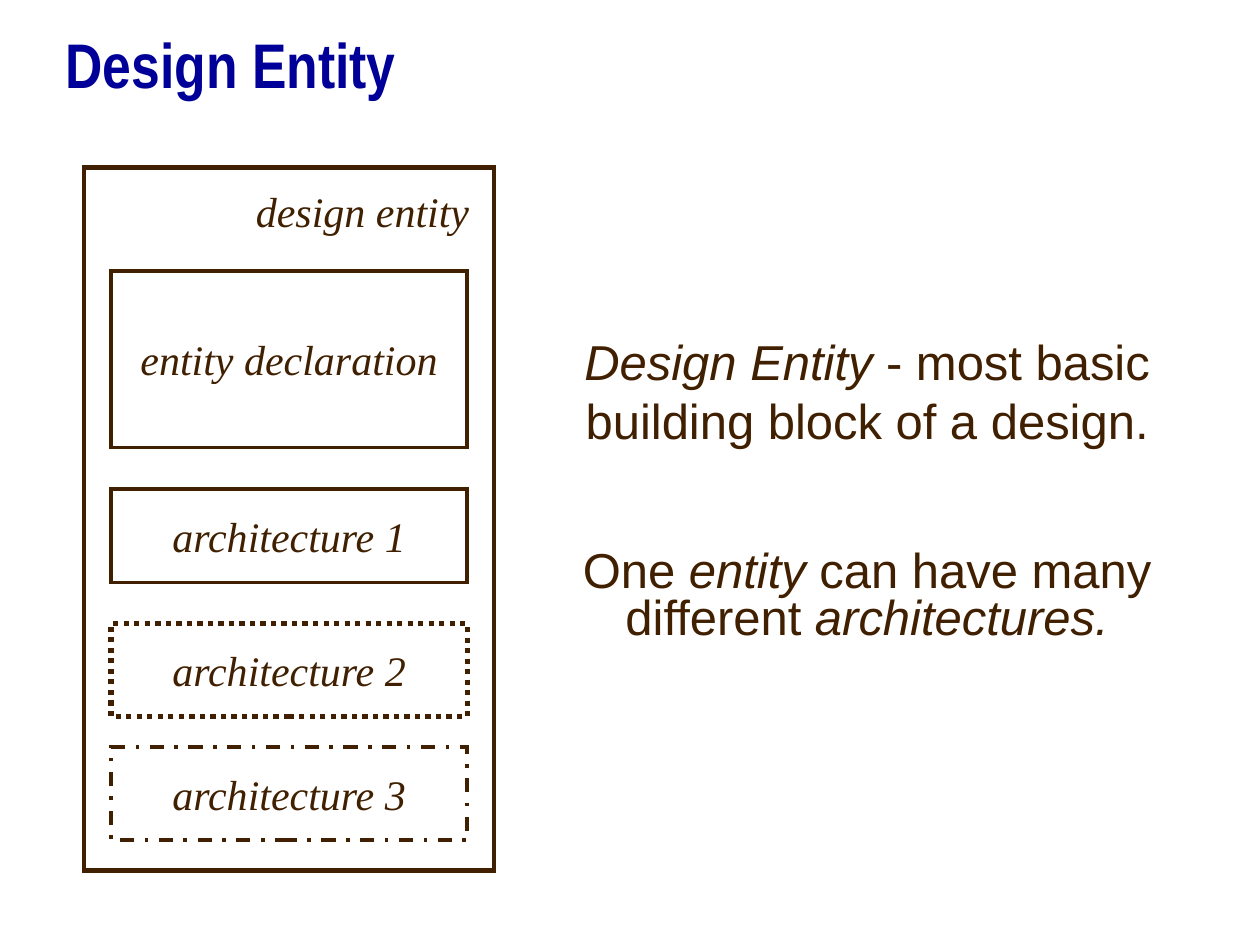
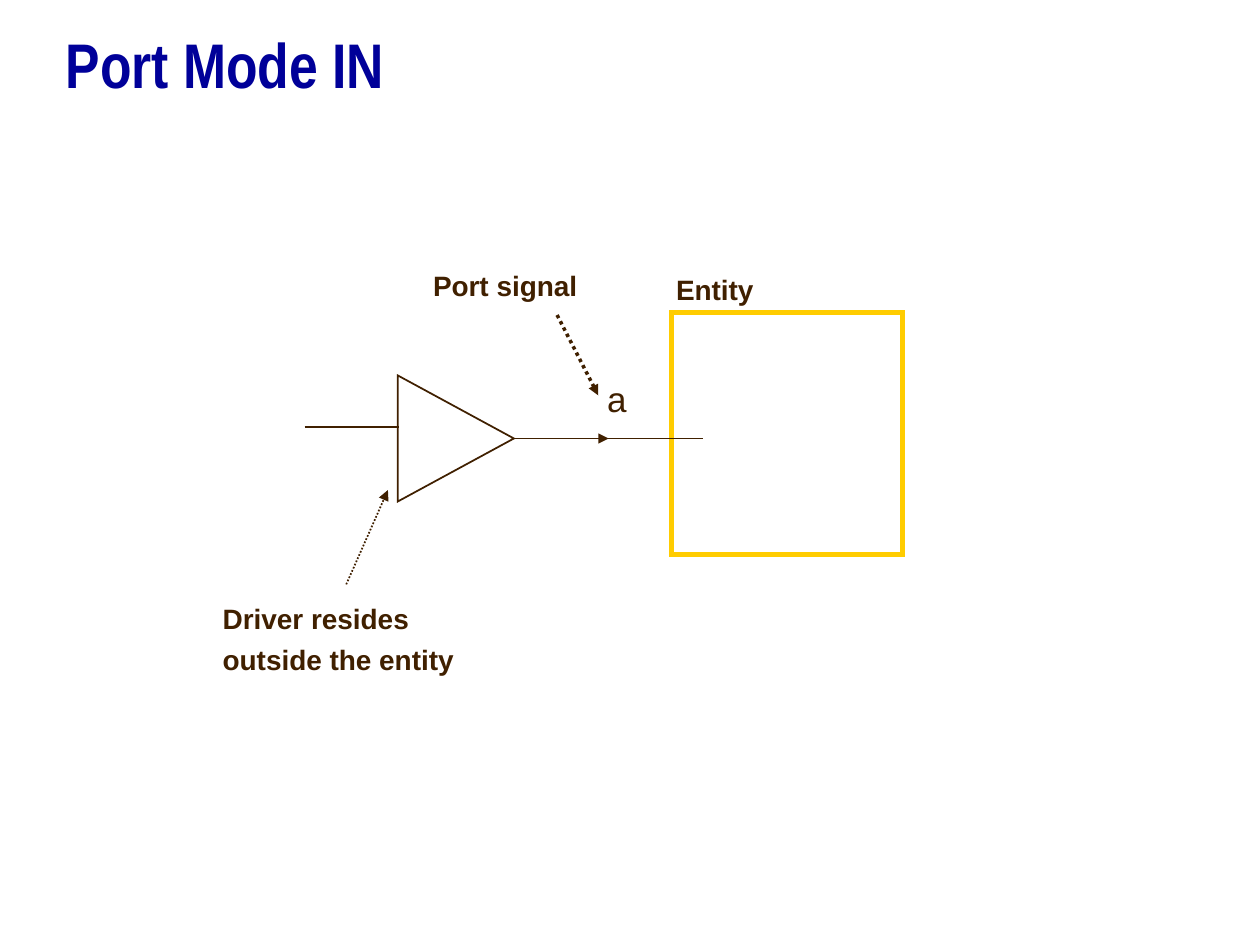
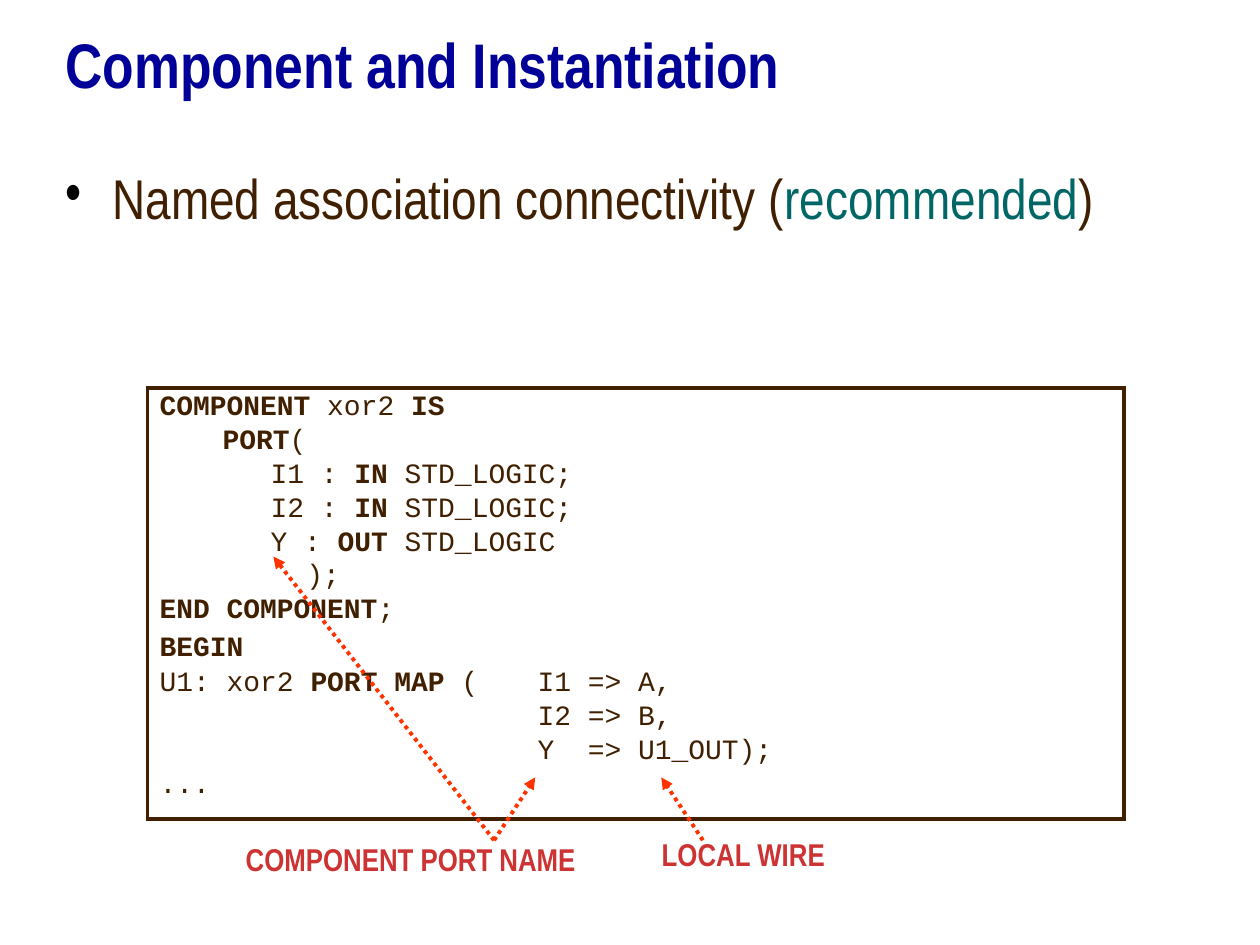
from lxml import etree
from pptx import Presentation
from pptx import util as u
from pptx.dml.color import RGBColor
from pptx.enum import dml, shapes, text
from pptx.oxml.ns import qn

BROWN, NAVY, TEAL, GOLD = "402000", "000099", "006666", "FFCC00"
ORANGE, RED, BLACK = "FF3300", "CD3333", "000000"
DOT, DASH_DOT = dml.MSO_LINE.ROUND_DOT, dml.MSO_LINE.DASH_DOT
LEFT, CENTER, RIGHT = text.PP_ALIGN.LEFT, text.PP_ALIGN.CENTER, text.PP_ALIGN.RIGHT
TOP, MIDDLE = text.MSO_ANCHOR.TOP, text.MSO_ANCHOR.MIDDLE
RECT = shapes.MSO_SHAPE.RECTANGLE

TITLE = dict(name="Arial Narrow", size=36, bold=True, color=NAVY)
BULLET = dict(name="Arial Narrow", size=32, bold=False, color=BROWN)
PROSE = dict(name="Arial", size=28, italic=False, color=BROWN)
PART = dict(name="Times New Roman", size=24, italic=True, color=BROWN)
SIGNAL = dict(name="Arial", size=20, color=BROWN)
CAPTION = dict(name="Arial", size=16, bold=True, color=BROWN)
CODE = dict(name="Courier New", size=16, bold=False, color=BROWN)
CALLOUT = dict(name="Arial Narrow", size=18, bold=True, color=RED)

CODE_LINES = [
    "|COMPONENT| xor2 |IS|",
    "\t|PORT|(",
    "\t\t I1 : |IN| STD_LOGIC;",
    "\t\t I2 : |IN| STD_LOGIC;",
    "\t\t Y : |OUT| STD_LOGIC",
    "\t     );",
    "|END COMPONENT|;",
    "|BEGIN|",
    "U1: xor2 |PORT MAP| (\tI1 => A,",
    "\t\t\tI2 => B,",
    "\t\t\tY  => U1_OUT);",
    "...",
]


def rgb(value):
    return RGBColor.from_string(value)


def set_font(font, fmt):
    for key, value in fmt.items():
        if key == "color":
            font.color.rgb = rgb(value)
        else:
            setattr(font, key, u.Pt(value) if key == "size" else value)


def write(tf, lines, fmt, emph=None, align=LEFT, before=0, spacing=None, anchor=TOP):
    tf.word_wrap, tf.vertical_anchor = True, anchor
    for i, line in enumerate(lines):
        p = tf.paragraphs[0] if i == 0 else tf.add_paragraph()
        p.alignment = align
        p.space_before = u.Pt(before if i else 0)
        if spacing:
            p.line_spacing = spacing
        for j, part in enumerate(line.split("|")):
            if part:
                r = p.add_run()
                r.text = part
                set_font(r.font, {**fmt, **(emph or {})} if j % 2 else fmt)


def place(box, x, y, w, h):
    return [u.Cm(v) for v in (box[0] + x, box[1] + y, w, h)]


def add_text(s, box, at, lines, fmt, **kw):
    sp = s.shapes.add_textbox(*place(box, *at))
    write(sp.text_frame, lines, fmt, **kw)
    return sp.text_frame


def add_outline(s, box, at, width, color=BROWN, dash=None, kind=RECT):
    sp = s.shapes.add_shape(kind, *place(box, *at))
    sp.shadow.inherit = False
    sp.fill.background()
    sp.line.color.rgb = rgb(color)
    sp.line.width = u.Pt(width)
    sp.line.dash_style = dash
    etree.SubElement(sp._element.spPr.find(qn("a:ln")), qn("a:miter"), lim="800000")
    return sp


def add_line(s, box, start, end, width=1, color=BROWN, dash=None, arrow=True):
    ends = [u.Cm(box[i] + pt[i]) for pt in (start, end) for i in (0, 1)]
    c = s.shapes.add_connector(shapes.MSO_CONNECTOR.STRAIGHT, *ends)
    c.line.color.rgb = rgb(color)
    c.line.width = u.Pt(width)
    c.line.dash_style = dash
    sp_pr = c._element.spPr
    if arrow:
        etree.SubElement(sp_pr.find(qn("a:ln")), qn("a:tailEnd"), type="triangle")
    etree.SubElement(sp_pr, qn("a:effectLst"))


def add_slide(prs, title):
    s = prs.slides.add_slide(prs.slide_layouts[5])
    sp = s.shapes.title
    sp.left, sp.top, sp.width, sp.height = place((0, 0), 1.07, 0.22, 23.29, 2.11)
    write(sp.text_frame, [title], TITLE, anchor=MIDDLE)
    return s


def add_bullet(p, indent):
    p_pr = p._p.get_or_add_pPr()
    p_pr.set("marL", str(u.Cm(indent)))
    p_pr.set("indent", str(-u.Cm(indent)))
    color = etree.SubElement(p_pr, qn("a:buClr"))
    etree.SubElement(color, qn("a:srgbClr"), val=BLACK)
    etree.SubElement(p_pr, qn("a:buFont"), typeface="Arial Narrow")
    etree.SubElement(p_pr, qn("a:buChar"), char="•")


def add_tabs(p, stops):
    tabs = etree.SubElement(p._p.get_or_add_pPr(), qn("a:tabLst"))
    for stop in stops:
        etree.SubElement(tabs, qn("a:tab"), pos=str(u.Cm(stop)), algn="l")


def entity_diagram(s, box):
    w, h = box[2:]
    inset = 0.54
    add_outline(s, box, (0, 0, w, h), 2.5)
    add_text(s, box, (0, 0.23, w - 0.25, 1.27), ["design entity"], PART, align=RIGHT)
    parts = [
        ("entity declaration", 2.08, 3.56, 2, None),
        ("architecture 1", 6.48, 1.88, 2, None),
        ("architecture 2", 9.19, 1.88, 3, DOT),
        ("architecture 3", 11.68, 1.88, 2, DASH_DOT),
    ]
    for name, y, height, width, dash in parts:
        sp = add_outline(s, box, (inset, y, w - 2 * inset, height), width, dash=dash)
        write(sp.text_frame, [name], PART, align=CENTER, anchor=MIDDLE)


def entity_notes(s, box):
    lines = ["|Design Entity| - most basic building block of a design.",
             "One |entity| can have many different |architectures.|"]
    tf = add_text(s, box, (0, 0, *box[2:]), lines, PROSE, emph=dict(italic=True),
                  align=CENTER, before=58)
    tf.paragraphs[1].line_spacing = 0.8


def port_diagram(s, box):
    wire_y = 3.56
    add_outline(s, box, (9.3, 1.02, 4.65, 4.88), 3, GOLD)
    driver = add_outline(s, box, (3.68, 2.39, 2.54, 2.34), 1,
                         kind=shapes.MSO_SHAPE.FLOWCHART_EXTRACT)
    driver.rotation = 90
    add_line(s, box, (1.9, 3.33), (3.81, 3.33), arrow=False)
    add_line(s, box, (6.12, wire_y), (8.03, wire_y))
    add_line(s, box, (7.82, wire_y), (9.93, wire_y), arrow=False)
    add_line(s, box, (6.99, 1.07), (7.82, 2.69), 2, dash=DOT)
    add_line(s, box, (2.74, 6.5), (3.58, 4.6), dash=DOT)
    labels = [
        ((4.24, 0, 4, 0.94), ["Port signal"], CAPTION),
        ((9.14, 0.08, 2.6, 0.94), ["Entity"], CAPTION),
        ((7.75, 2.21, 1.2, 1.12), ["a"], SIGNAL),
        ((0, 6.73, 5.8, 1.75), ["Driver resides", "outside the entity"], CAPTION),
    ]
    for at, lines, fmt in labels:
        add_text(s, box, at, lines, fmt, before=4)


def bullet_line(s, box):
    tf = add_text(s, box, (0, 0, *box[2:]), ["Named association connectivity (|recommended|)"],
                  BULLET, emph=dict(color=TEAL))
    add_bullet(tf.paragraphs[0], 0.95)


def code_listing(s, box):
    sp = add_outline(s, box, (0, 0, *box[2:]), 2)
    write(sp.text_frame, CODE_LINES, CODE, emph=dict(bold=True), before=4, spacing=0.8)
    for p in sp.text_frame.paragraphs:
        add_tabs(p, (1.27, 1.9, 7.62))
        if p.text == "BEGIN":
            p.line_spacing = 0.95
    port, wire = (6.99, 9.12), (11.2, 9.12)
    for start, end in ((port, (7.82, 7.85)), (wire, (10.36, 7.85)), (port, (2.54, 3.4))):
        add_line(s, box, start, end, 2.25, ORANGE, DOT)
    for at, name in (((1.43, 8.99, 7.76, 1.02), "COMPONENT PORT NAME"),
                     ((9.81, 8.89, 4.41, 1.02), "LOCAL WIRE")):
        add_text(s, box, at, [name], CALLOUT, align=CENTER)


def main():
    prs = Presentation()
    prs.slide_width, prs.slide_height = u.Cm(25.4), u.Cm(19.05)

    s = add_slide(prs, "Design Entity")
    entity_notes(s, (9.96, 6.56, 15.04, 6.58))
    entity_diagram(s, (1.7, 3.38, 8.26, 14.17))

    s = add_slide(prs, "Port Mode IN")
    port_diagram(s, (4.24, 5.28, 13.95, 8.48))

    s = add_slide(prs, "Component and Instantiation")
    bullet_line(s, (1.07, 3.18, 23.29, 14.6))
    code_listing(s, (2.97, 7.82, 19.69, 8.69))

    prs.save("out.pptx")


if __name__ == "__main__":
    main()
